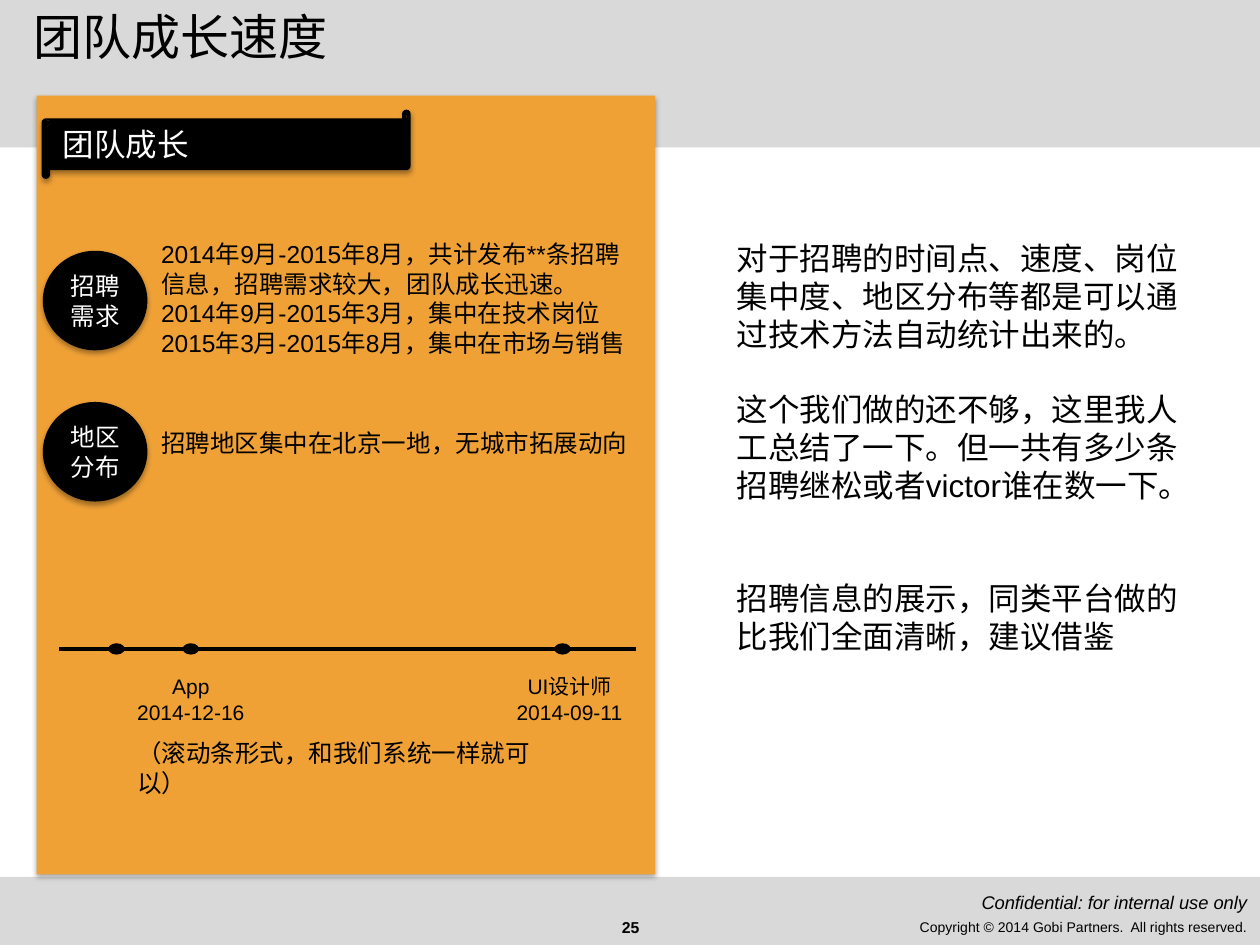
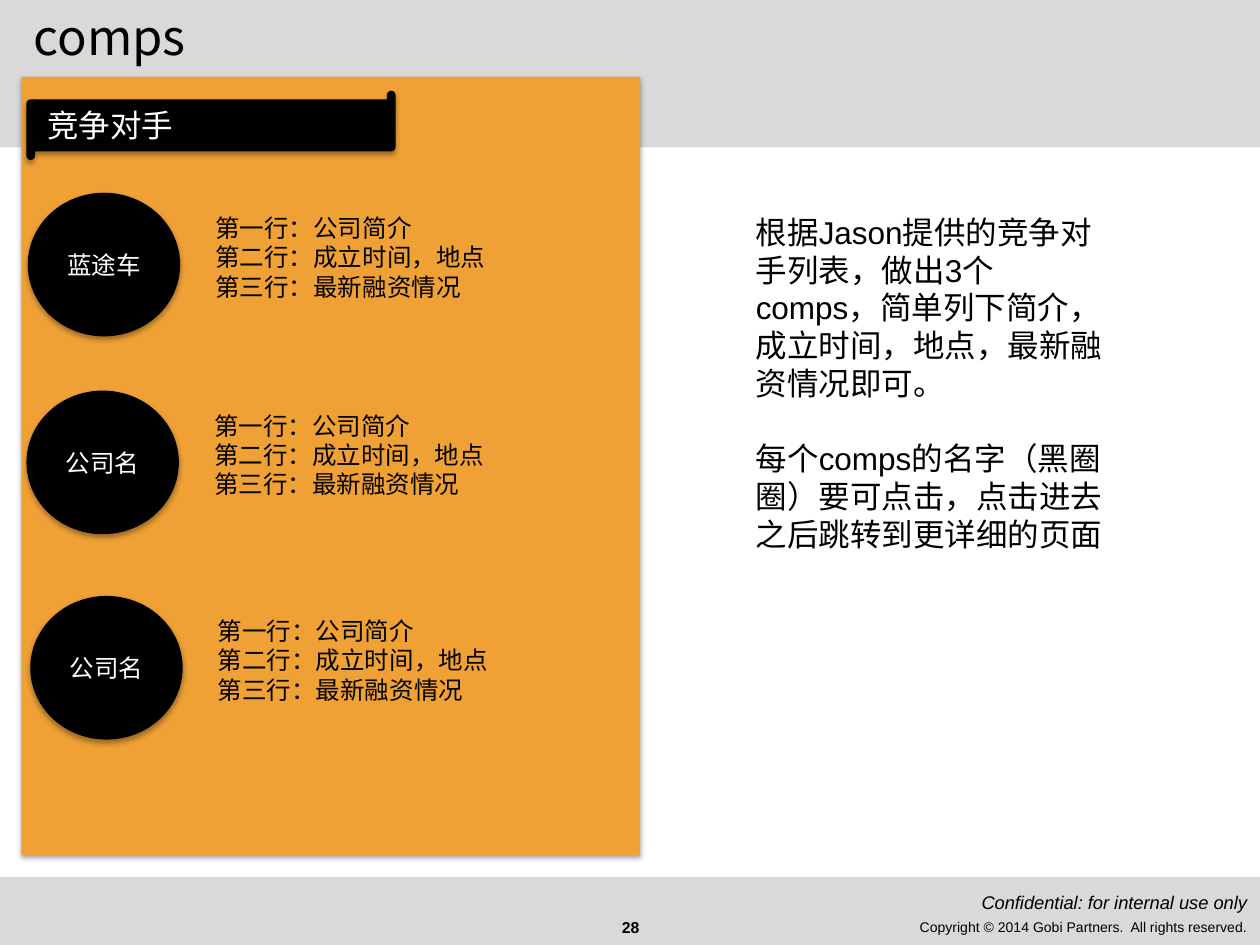
"""Builds two slides: team growth and competitors."""
from lxml.etree import SubElement
from pptx import Presentation
from pptx.dml.color import RGBColor
from pptx.enum.shapes import MSO_CONNECTOR, MSO_SHAPE
from pptx.enum.text import MSO_ANCHOR, PP_ALIGN
from pptx.oxml.ns import qn
from pptx.util import Inches, Pt

BLACK = RGBColor(0x00, 0x00, 0x00)
WHITE = RGBColor(0xFF, 0xFF, 0xFF)
GREY = RGBColor(0xD9, 0xD9, 0xD9)
ORANGE = RGBColor(0xEF, 0xA1, 0x36)
BODY_FONT = "Arial"
TITLE_FONT = "Noto Sans CJK SC"
WIDTH, HEIGHT = Inches(10), Inches(7.5)
COLUMNS, ROWS = 100, 75
COMPANY_LINES = ["第一行：公司简介", "第二行：成立时间，地点", "第三行：最新融资情况"]


def place(left, top, width, height):
    """Turn grid columns and rows into slide lengths."""
    column, row = WIDTH / COLUMNS, HEIGHT / ROWS
    return (round(left * column), round(top * row),
            round(width * column), round(height * row))


def write(frame, paragraphs, size=14, color=BLACK, font=BODY_FONT, bold=False,
          italic=False, align=PP_ALIGN.LEFT, anchor=MSO_ANCHOR.TOP, gaps=()):
    """Fill a text frame; gaps are the spaces before the later paragraphs."""
    frame.word_wrap = True
    frame.vertical_anchor = anchor
    for index, content in enumerate(paragraphs):
        paragraph = frame.paragraphs[0] if index == 0 else frame.add_paragraph()
        paragraph.alignment = align
        if index and gaps:
            paragraph.space_before = Pt(gaps[index - 1])
        run = paragraph.add_run()
        run.text = content
        run.font.size = Pt(size)
        run.font.name = font
        run.font.bold = bold
        run.font.italic = italic
        run.font.color.rgb = color
        east_asian = SubElement(run.font._element, qn("a:ea"))
        east_asian.set("typeface", font)


def add_text(slide, box, *paragraphs, **text_format):
    """Add a wrapped text box."""
    write(slide.shapes.add_textbox(*place(*box)).text_frame, paragraphs, **text_format)


def add_block(slide, kind, box, fill, shadowed=False):
    """Add a borderless preset shape, with a soft shadow if asked."""
    block = slide.shapes.add_shape(kind, *place(*box))
    block.fill.solid()
    block.fill.fore_color.rgb = fill
    block.line.fill.background()
    block.shadow.inherit = False
    if shadowed:
        effects = block._element.spPr.find(qn("a:effectLst"))
        shadow = SubElement(effects, qn("a:outerShdw"), blurRad=str(Pt(3.1)),
                            dist=str(Pt(1.8)), dir="5400000", rotWithShape="0")
        shade = SubElement(shadow, qn("a:srgbClr"), val=str(BLACK))
        SubElement(shade, qn("a:alpha"), val="35000")
    return block


def add_frame(presentation, title, page):
    """Start a slide with its bands, title and footer."""
    slide = presentation.slides.add_slide(presentation.slide_layouts[6])
    for top, height in ((69.6, 5.4), (0, 11.7)):
        add_block(slide, MSO_SHAPE.RECTANGLE, (0, top, COLUMNS, height), GREY)
    middle = MSO_ANCHOR.MIDDLE
    add_text(slide, (34.2, 71.6, 31.7, 4), page, size=9, bold=True,
             align=PP_ALIGN.CENTER, anchor=middle)
    add_text(slide, (60, 71.6, 40, 4),
             "Copyright © 2014 Gobi Partners.  All rights reserved.",
             size=8, align=PP_ALIGN.RIGHT, anchor=middle)
    add_text(slide, (60, 69.6, 40, 4), "Confidential: for internal use only",
             size=10.5, italic=True, align=PP_ALIGN.RIGHT, anchor=middle)
    add_text(slide, (1.7, 0, 80, 11.7), title, size=28, font=TITLE_FONT)
    return slide


def add_panel(slide, left, top, heading):
    """Add the orange panel with its scroll heading."""
    add_block(slide, MSO_SHAPE.RECTANGLE, (left, top, 49.1, 61.8), ORANGE, True)
    scroll = add_block(slide, MSO_SHAPE.HORIZONTAL_SCROLL,
                       (left + 0.4, top + 1.1, 29.3, 5.5), BLACK, True)
    write(scroll.text_frame, [heading], size=18, color=WHITE, anchor=MSO_ANCHOR.MIDDLE)


def add_badge(slide, box, label):
    """Add a black circle with a white label."""
    badge = add_block(slide, MSO_SHAPE.OVAL, box, BLACK, True)
    badge.text_frame.margin_left = badge.text_frame.margin_right = Inches(0.05)
    write(badge.text_frame, [label], color=WHITE, align=PP_ALIGN.CENTER,
          anchor=MSO_ANCHOR.MIDDLE)


def add_timeline(slide, left, right, middle, dots):
    """Add a horizontal line with dots centred on it."""
    x, y, length, _ = place(left, middle, right - left, 0)
    axis = slide.shapes.add_connector(MSO_CONNECTOR.STRAIGHT, x, y, x + length, y)
    axis.line.color.rgb = BLACK
    axis.line.width = Pt(2)
    SubElement(axis._element.spPr, qn("a:effectLst"))
    for dot in dots:
        add_block(slide, MSO_SHAPE.OVAL, (dot - 0.65, middle - 0.45, 1.3, 0.9), BLACK)


def build_growth(presentation):
    """Build the team growth slide."""
    slide = add_frame(presentation, "团队成长速度", "25")
    add_panel(slide, 2.9, 7.6, "团队成长")
    for top, label in ((19.9, "招聘需求"), (31.9, "地区分布")):
        add_badge(slide, (3.4, top, 8.3, 7.9), label)
    add_text(slide, (11.8, 18.5, 40.2, 10.4),
             "2014年9月-2015年8月，共计发布**条招聘信息，招聘需求较大，团队成长迅速。",
             "2014年9月-2015年3月，集中在技术岗位",
             "2015年3月-2015年8月，集中在市场与销售")
    add_text(slide, (11.8, 33.5, 40.2, 3.4), "招聘地区集中在北京一地，无城市拓展动向")
    add_timeline(slide, 4.7, 50.5, 51.5, (9.25, 15.15, 44.65))
    for left, post, date in ((9.65, "App", "2014-12-16"), (39.7, "UI设计师", "2014-09-11")):
        add_text(slide, (left, 53, 11, 5), post, date, size=12, align=PP_ALIGN.CENTER)
    add_text(slide, (9.9, 58.1, 35.3, 3.4), "（滚动条形式，和我们系统一样就可以）")
    add_text(slide, (57.5, 18.5, 37.5, 37.4),
             "对于招聘的时间点、速度、岗位集中度、地区分布等都是可以通过技术方法自动统计出来的。",
             "这个我们做的还不够，这里我人工总结了一下。但一共有多少条招聘继松或者victor谁在数一下。",
             "招聘信息的展示，同类平台做的比我们全面清晰，建议借鉴",
             size=18, gaps=(21.5, 43))


def build_competitors(presentation):
    """Build the competitors slide."""
    slide = add_frame(presentation, "comps", "28")
    add_panel(slide, 1.7, 6.1, "竞争对手")
    for left, top, company in ((2.2, 15.3, "蓝途车"), (2.1, 31, "公司名"), (2.4, 47.3, "公司名")):
        add_badge(slide, (left, top, 12.1, 11.4), company)
        add_text(slide, (left + 13.9, top + 1.1, 30.1, 8.1), *COMPANY_LINES)
    add_text(slide, (59, 16.4, 30.4, 25.2),
             "根据Jason提供的竞争对手列表，做出3个comps，简单列下简介，成立时间，地点，最新融资情况即可。",
             "每个comps的名字（黑圈圈）要可点击，点击进去之后跳转到更详细的页面",
             size=18, gaps=(21.5,))


def main():
    """Build and save the presentation."""
    presentation = Presentation()
    presentation.slide_width, presentation.slide_height = WIDTH, HEIGHT
    build_growth(presentation)
    build_competitors(presentation)
    presentation.save("out.pptx")


if __name__ == "__main__":
    main()
